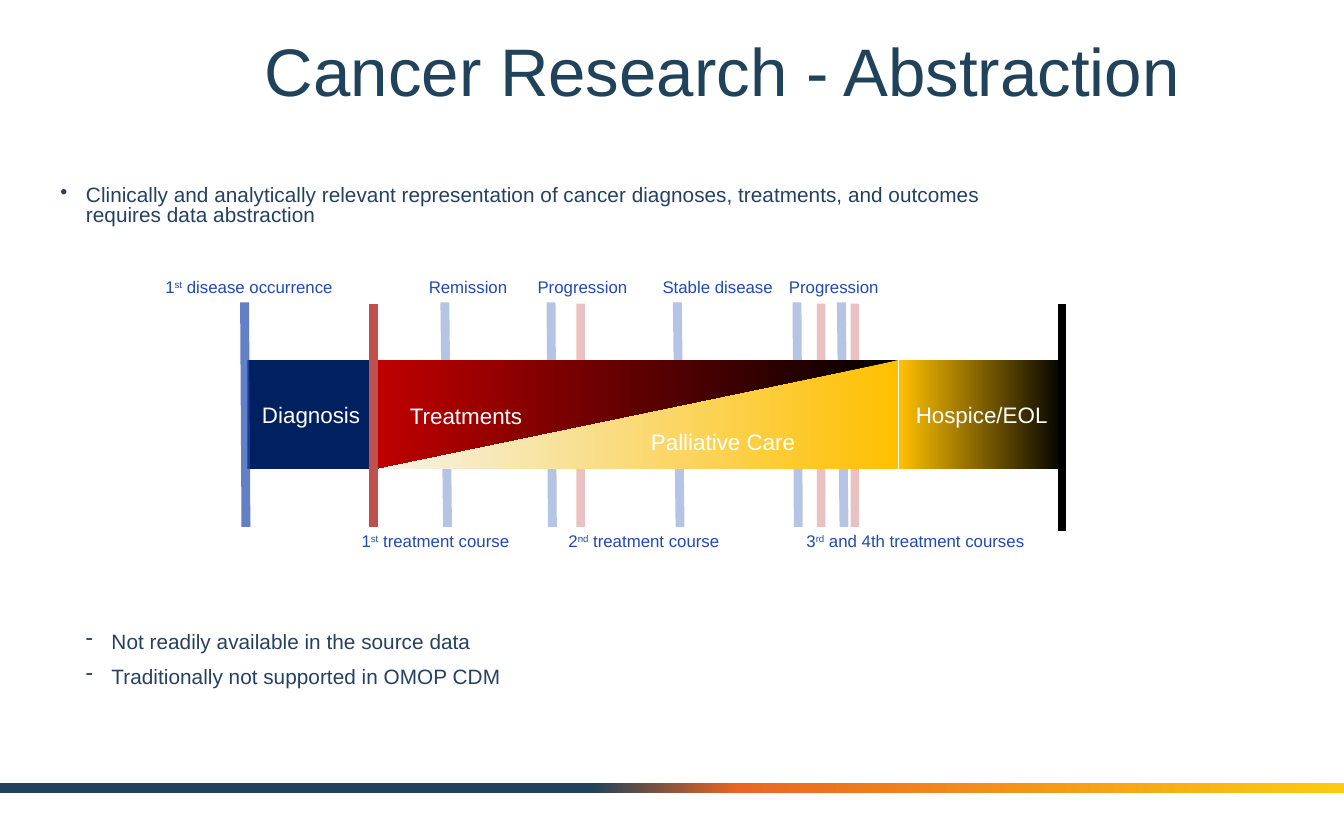
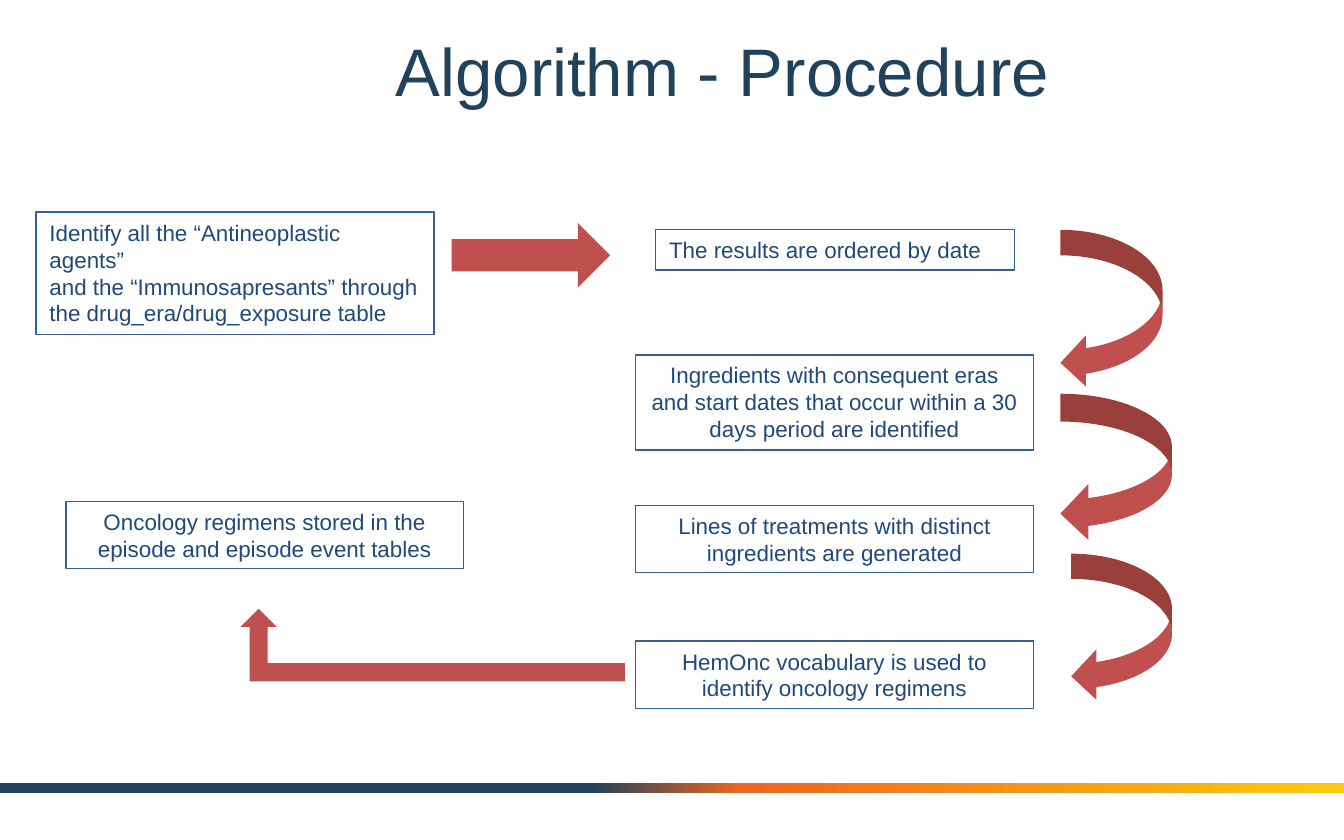
"""Build two slides on cancer research abstraction and the regimen algorithm."""

import dataclasses
import typing

import pptx
import pptx.dml.color
import pptx.enum.shapes
import pptx.enum.text
import pptx.oxml.ns
import pptx.oxml.xmlchemy
import pptx.util
from lxml import etree

RGB = pptx.dml.color.RGBColor
SHAPE = pptx.enum.shapes.MSO_SHAPE
ALIGN = pptx.enum.text.PP_ALIGN
ANCHOR = pptx.enum.text.MSO_ANCHOR
GROW = pptx.enum.text.MSO_AUTO_SIZE.SHAPE_TO_FIT_TEXT
Pt = pptx.util.Pt
qn = pptx.oxml.ns.qn

SLIDE_WIDTH = pptx.util.Inches(10)
SLIDE_HEIGHT = pptx.util.Inches(6.25)
COLUMN = SLIDE_WIDTH / 100
ROW = SLIDE_HEIGHT / 62.5

TEAL = RGB(0x20, 0x42, 0x5A)
ORANGE = RGB(0xEB, 0x66, 0x22)
YELLOW = RGB(0xFC, 0xCB, 0x10)
SLATE = RGB(0x25, 0x40, 0x61)
BLUE = RGB(0x21, 0x4A, 0xAF)
NAVY = RGB(0x00, 0x20, 0x60)
INK = RGB(0x1F, 0x49, 0x7D)
OUTLINE = RGB(0x37, 0x60, 0x92)
BRICK = RGB(0xC0, 0x50, 0x4D)
RED = RGB(0xC0, 0x00, 0x00)
GOLD = RGB(0xFF, 0xC0, 0x00)
IVORY = RGB(0xF5, 0xF4, 0xED)
BLACK = RGB(0x00, 0x00, 0x00)
WHITE = RGB(0xFF, 0xFF, 0xFF)

Values = dict[str, typing.Any]


def insets(side: float, end: float) -> Values:
    """Return frame margins in columns and rows."""
    return {"margin_left": int(side * COLUMN), "margin_right": int(side * COLUMN),
            "margin_top": int(end * ROW), "margin_bottom": int(end * ROW)}


TIGHT = insets(0.7, 0.4)
ROOMY = insets(1, 0.5)
CENTRED = {"alignment": ALIGN.CENTER}


class Area(typing.NamedTuple):
    """Place of a part in columns and rows."""

    left: float
    top: float
    width: float
    height: float

    def emu(self) -> tuple[int, int, int, int]:
        """Return the place in slide units."""
        return (round(self.left * COLUMN), round(self.top * ROW),
                round(self.width * COLUMN), round(self.height * ROW))


@dataclasses.dataclass(frozen=True)
class Gradient:
    """Colour stops along an angle."""

    stops: tuple[tuple[int, RGB], ...]
    angle: int


@dataclasses.dataclass(frozen=True)
class Phase:
    """A block of the disease timeline."""

    area: Area
    fill: RGB | Gradient
    name: str = ""
    kind: SHAPE = SHAPE.RECTANGLE
    flip: str = ""
    rotation: int = 0


@dataclasses.dataclass(frozen=True)
class Event:
    """A vertical mark on the disease timeline."""

    column: float
    colour: RGB
    opacity: int = 100
    lean: float = 0
    top: float = 22.6
    bottom: float = 39.2
    weight: float = 4.5


@dataclasses.dataclass(frozen=True)
class Step:
    """A boxed step of the algorithm."""

    area: Area
    sentences: tuple[str, ...]
    layout: dict = dataclasses.field(default_factory=lambda: CENTRED)
    weight: float = 0.75


@dataclasses.dataclass(frozen=True)
class Flow:
    """A block arrow between steps."""

    area: Area
    kind: SHAPE = SHAPE.CURVED_LEFT_ARROW
    flip: str = ""


def disease_event(column: float, opacity: int = 33, lean: float = 0.1) -> Event:
    """Return a slightly leaning blue event."""
    return Event(column, BLUE, opacity, lean, 22.5, 39.2, 4.75)


BAND = Gradient(((44, TEAL), (55, ORANGE), (100, YELLOW)), 0)
PHASE_TOP, PHASE_HEIGHT = 26.8, 8.1
COURSE = Area(27.8, PHASE_TOP, 39, PHASE_HEIGHT)


def fade(near: RGB, far: RGB) -> Gradient:
    """Return a two-colour gradient running leftwards."""
    return Gradient(((0, near), (100, far)), 180)


FAINT_EVENTS = (
    Event(63.6, BRICK, 34), disease_event(62.6, lean=0.2), Event(61.1, BRICK, 34),
    disease_event(59.3), disease_event(50.4, lean=0.2), disease_event(41),
    Event(43.2, BRICK, 34), disease_event(33.1, lean=0.2),
)
PHASES = (
    Phase(Area(18.4, PHASE_TOP, 9.5, PHASE_HEIGHT), NAVY, "Diagnosis"),
    Phase(Area(66.9, PHASE_TOP, 12.3, PHASE_HEIGHT), fade(BLACK, GOLD), "Hospice/EOL"),
    Phase(COURSE, fade(IVORY, GOLD), "Palliative Care", SHAPE.RIGHT_TRIANGLE, "flipV", 180),
    Phase(COURSE, fade(BLACK, RED), "", SHAPE.RIGHT_TRIANGLE, "flipV"),
)
BOUNDARIES = (Event(27.8, BRICK), Event(79, BLACK, bottom=39.5), disease_event(18.2, 70))
OUTCOME_ROW, TREATMENT_ROW = 20.2, 39.1
EVENT_LABELS = (
    (11.6, OUTCOME_ROW, 14.1, "1^st^ disease occurrence"),
    (26.2, TREATMENT_ROW, 14.1, "1^st^ treatment course"),
    (31.2, OUTCOME_ROW, 7.9, "Remission"),
    (41.6, TREATMENT_ROW, 14.3, "2^nd^ treatment course"),
    (39.3, OUTCOME_ROW, 9.7, "Progression"),
    (58, OUTCOME_ROW, 9.7, "Progression"),
    (48.6, OUTCOME_ROW, 9.7, "Stable disease"),
    (59.3, TREATMENT_ROW, 19.2, "3^rd^ and 4th treatment courses"),
)
CLAIMS = (
    (0, "•", 0, "Clinically and analytically relevant representation of cancer diagnoses, "
                "treatments, and outcomes requires data abstraction"),
    (1, "-", 218, "Not readily available in the source data"),
    (1, "-", 8, "Traditionally not supported in OMOP CDM"),
)
STEP_COLUMN, STEP_WIDTH = 47.3, 29.6
STEPS = (
    Step(Area(2.7, 15.8, STEP_WIDTH, 9.1),
         ("Identify all the “Antineoplastic agents”",
          "and the “Immunosapresants” through the drug_era/drug_exposure table"),
         {"alignment": ALIGN.LEFT}, 1),
    Step(Area(48.8, 17.1, 26.7, 3), ("The results are ordered by date",),
         {"alignment": ALIGN.LEFT}),
    Step(Area(STEP_COLUMN, 26.4, STEP_WIDTH, 7.1),
         ("Ingredients with consequent eras and start dates that occur within a 30 days "
          "period are identified",)),
    Step(Area(STEP_COLUMN, 37.6, STEP_WIDTH, 5),
         ("Lines of treatments with distinct ingredients are generated",)),
    Step(Area(STEP_COLUMN, 47.7, STEP_WIDTH, 5),
         ("HemOnc vocabulary is used to identify oncology regimens",)),
    Step(Area(4.9, 37.3, STEP_WIDTH, 5),
         ("Oncology regimens stored in the episode and episode event tables",)),
)
FLOWS = (
    Flow(Area(33.6, 16.6, 11.8, 4.8), SHAPE.RIGHT_ARROW),
    Flow(Area(78.9, 17.1, 7.6, 11.8)),
    Flow(Area(78.9, 29.3, 8.3, 11)),
    Flow(Area(79.7, 41.2, 7.5, 11)),
    Flow(Area(17.9, 45.3, 28.6, 5.4), SHAPE.BENT_UP_ARROW, "flipH"),
)


def assign(target: typing.Any, values: Values) -> None:
    """Set every named attribute on the target."""
    for name, value in values.items():
        setattr(target, name, value)


def write_runs(paragraph: typing.Any, text: str, size: float, colour: RGB) -> None:
    """Write text, raising the parts between carets."""
    for position, part in enumerate(text.split("^")):
        run = paragraph.add_run()
        run.text = part
        assign(run.font, {"name": "Arial", "size": Pt(size)})
        run.font.color.rgb = colour
        if position % 2:
            run.font._element.set("baseline", "30000")


def write(shape: typing.Any, sentences: tuple[str, ...], size: float, colour: RGB,
          frame: Values, layout: Values) -> None:
    """Fill a frame with one paragraph per sentence."""
    assign(shape.text_frame, {"word_wrap": True, **frame})
    for position, sentence in enumerate(sentences):
        paragraph = (shape.text_frame.add_paragraph() if position
                     else shape.text_frame.paragraphs[0])
        assign(paragraph, layout)
        write_runs(paragraph, sentence, size, colour)


def add_label(slide: typing.Any, area: Area, text: str, size: float, colour: RGB,
              frame: Values, layout: Values) -> None:
    """Add a one-paragraph text box."""
    write(slide.shapes.add_textbox(*area.emu()), (text,), size, colour, frame, layout)


def paint(shape: typing.Any, fill: RGB | Gradient | None) -> None:
    """Fill a shape with a colour, a gradient or nothing."""
    if fill is None:
        shape.fill.background()
    elif isinstance(fill, Gradient):
        shape.fill.gradient()
        shape.fill.gradient_angle = fill.angle
        stops = next(shape.element.spPr.iter(qn("a:gsLst")))
        for stop in list(stops):
            stops.remove(stop)
        for position, colour in fill.stops:
            stop = etree.SubElement(stops, qn("a:gs"), pos=str(position * 1000))
            etree.SubElement(stop, qn("a:srgbClr"), val=str(colour))
    else:
        shape.fill.solid()
        shape.fill.fore_color.rgb = fill


def add_block(slide: typing.Any, area: Area, fill: RGB | Gradient | None,
              kind: SHAPE = SHAPE.RECTANGLE, flip: str = "") -> typing.Any:
    """Add a flat shape without a line."""
    block = slide.shapes.add_shape(kind, *area.emu())
    block.shadow.inherit = False
    paint(block, fill)
    block.line.fill.background()
    if flip:
        block.element.spPr.find(qn("a:xfrm")).set(flip, "1")
    return block


def add_event(slide: typing.Any, event: Event) -> None:
    """Draw a timeline mark."""
    mark = slide.shapes.add_connector(
        pptx.enum.shapes.MSO_CONNECTOR.STRAIGHT,
        round(event.column * COLUMN), round(event.top * ROW),
        round((event.column + event.lean) * COLUMN), round(event.bottom * ROW))
    mark.line.width = Pt(event.weight)
    mark.line.color.rgb = event.colour
    properties = mark.element.spPr
    if event.opacity < 100:
        colour = next(properties.iter(qn("a:srgbClr")))
        etree.SubElement(colour, qn("a:alpha"), val=str(event.opacity * 1000))
    etree.SubElement(properties, qn("a:effectLst"))


def add_claims(slide: typing.Any) -> None:
    """Write the bulleted claims around the timeline."""
    frame = slide.shapes.add_textbox(*Area(3.8, 13.5, 75.4, 39.7).emu()).text_frame
    assign(frame, {"word_wrap": True, **TIGHT})
    for position, (level, bullet, before, claim) in enumerate(CLAIMS):
        paragraph = frame.add_paragraph() if position else frame.paragraphs[0]
        properties = paragraph._p.get_or_add_pPr()
        properties.set("marL", str(round(1.9 * (level + 1) * COLUMN)))
        properties.set("indent", str(round(-1.9 * COLUMN)))
        etree.SubElement(properties, qn("a:buChar"), char=bullet)
        assign(paragraph, {"level": level, "line_spacing": 0.8, "space_before": Pt(before)})
        write_runs(paragraph, claim, 11.1, SLATE)


def start_slide(deck: typing.Any, title: str) -> typing.Any:
    """Add a slide with the shared band and title."""
    slide = deck.slides.add_slide(deck.slide_layouts[6])
    add_block(slide, Area(0, 58.3, 100, 0.7), BAND)
    add_label(slide, Area(12.5, 1.4, 82.5, 7.6), title, 36, TEAL,
              {"vertical_anchor": ANCHOR.MIDDLE, **ROOMY}, CENTRED)
    return slide


def build_abstraction(deck: typing.Any) -> None:
    """Build the disease timeline slide."""
    slide = start_slide(deck, "Cancer Research - Abstraction")
    add_claims(slide)
    for event in FAINT_EVENTS:
        add_event(slide, event)
    for phase in PHASES:
        block = add_block(slide, phase.area, phase.fill, phase.kind, phase.flip)
        block.rotation = phase.rotation
        if phase.name:
            write(block, (phase.name,), 12, WHITE,
                  {"vertical_anchor": ANCHOR.MIDDLE, **TIGHT}, CENTRED)
    labelled = {"auto_size": GROW, **TIGHT}
    add_label(slide, Area(29.8, 29.5, 22.3, 2.8), "Treatments", 12, WHITE, labelled, {})
    for event in BOUNDARIES:
        add_event(slide, event)
    for left, top, width, text in EVENT_LABELS:
        add_label(slide, Area(left, top, width, 2.3), text, 9, BLUE, labelled, {})


def build_procedure(deck: typing.Any) -> None:
    """Build the algorithm slide."""
    slide = start_slide(deck, "Algorithm - Procedure")
    for step in STEPS:
        box = add_block(slide, step.area, None)
        box.line.color.rgb = OUTLINE
        box.line.width = Pt(step.weight)
        write(box, step.sentences, 12, INK,
              {"auto_size": GROW, "vertical_anchor": ANCHOR.TOP, **ROOMY}, step.layout)
    for flow in FLOWS:
        add_block(slide, flow.area, BRICK, flow.kind, flow.flip)


def main() -> None:
    """Build and save the deck."""
    deck = pptx.Presentation()
    assign(deck, {"slide_width": SLIDE_WIDTH, "slide_height": SLIDE_HEIGHT})
    build_abstraction(deck)
    build_procedure(deck)
    deck.save("out.pptx")


if __name__ == "__main__":
    main()
